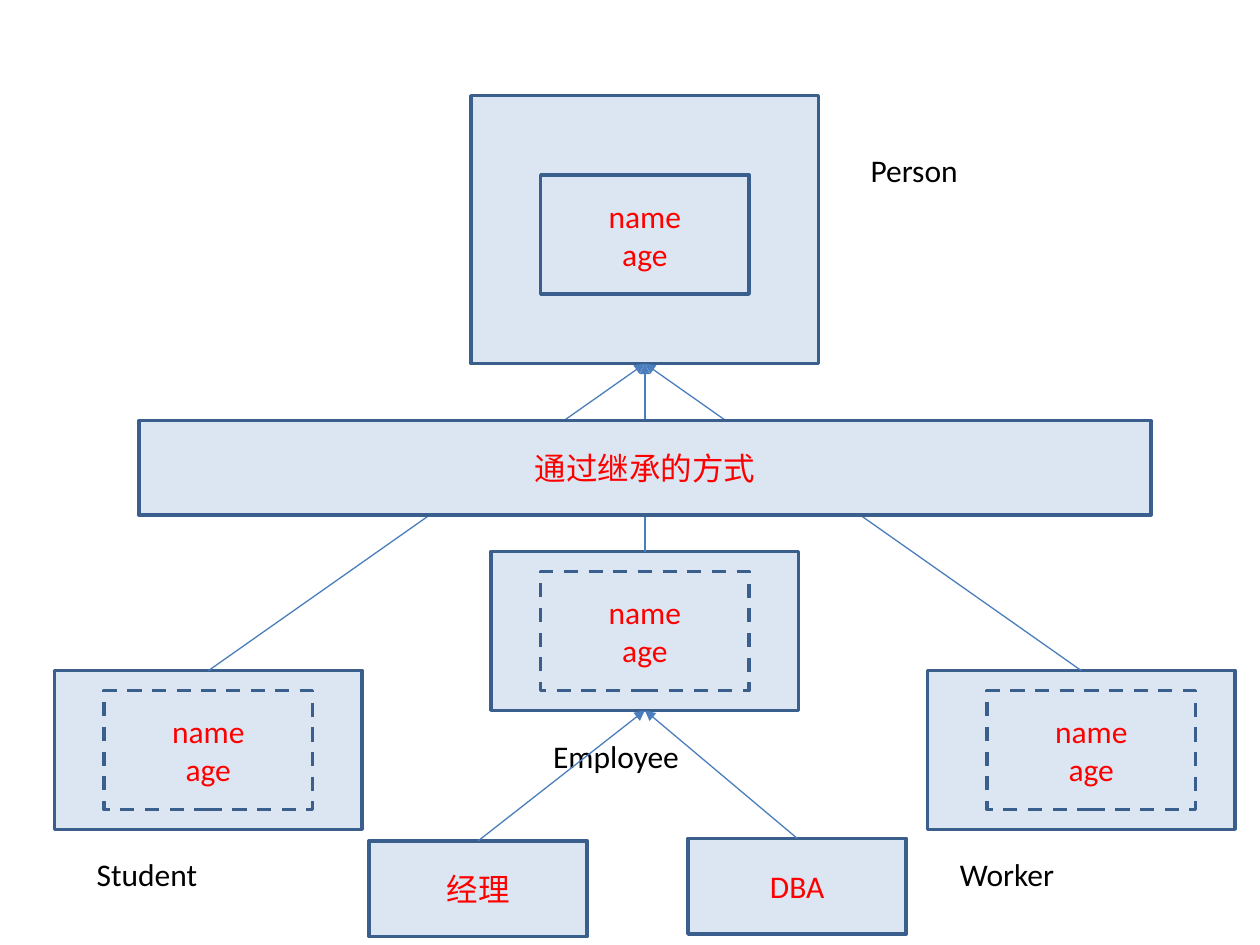
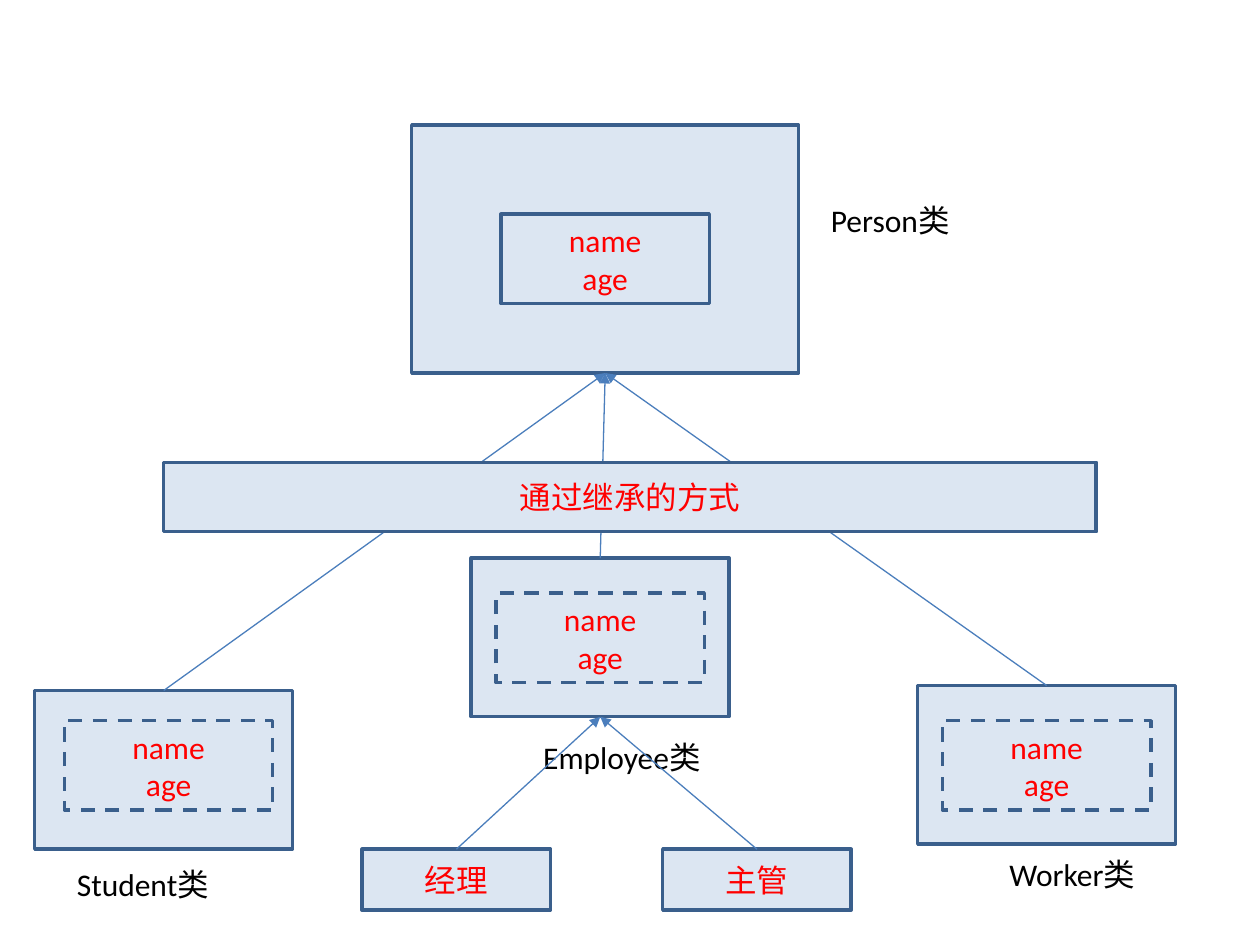
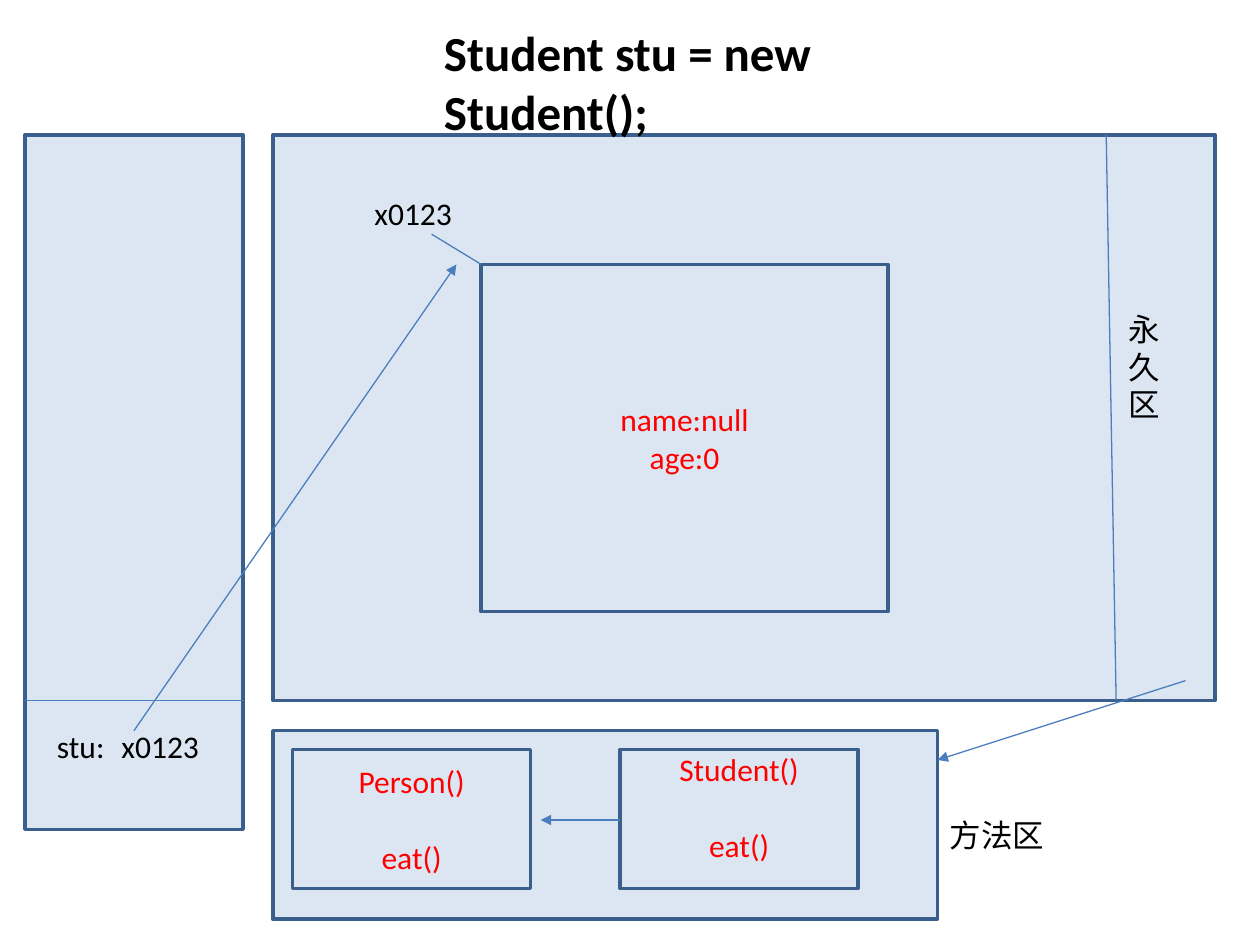
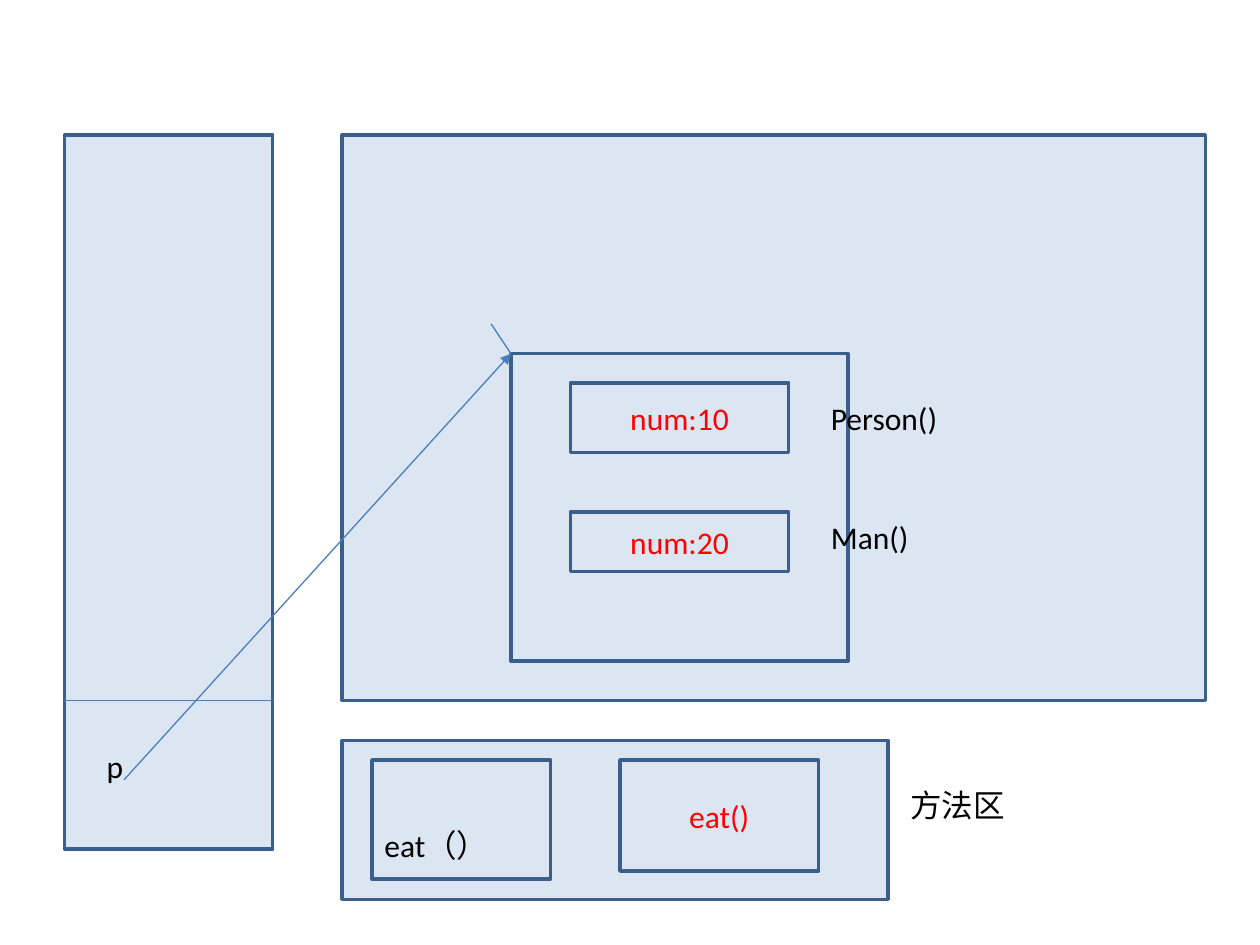
from lxml.etree import SubElement
from pptx import Presentation
from pptx.dml.color import RGBColor
from pptx.enum.dml import MSO_LINE
from pptx.enum.shapes import MSO_CONNECTOR, MSO_SHAPE
from pptx.enum.text import MSO_ANCHOR, MSO_AUTO_SIZE, PP_ALIGN
from pptx.oxml.ns import qn
from pptx.util import Mm, Pt

# All lengths are in columns and rows of a 1 mm grid.
SLIDE_SIZE = (254, 190.5)
FONT = "Calibri"
BODY_SIZE = 18
BLANK_LAYOUT = 6
FILL, EDGE, LINK, MEMBER, INK = "DCE6F2", "3A5F8C", "4B7EBC", "FF0000", "000000"
TOP_SITE, BOTTOM_SITE = 0, 2

FIELDS = "name\nage"

# Children and parent: label, label (left, top, width), frame corner, fields corner.
CLASS_DIAGRAMS = [
    {
        "parent": ("Person", (173, 29.3, 72), (95, 19.3), (109, 35.3)),
        "parent_size": (70, 54),
        "children": [
            ("Student", (17, 171.2, 52), (11, 135.2), (21, 139.2)),
            ("Employee", (109, 147.3, 60), (99, 111.2), (109, 115.2)),
            ("Worker", (191, 171.2, 76), (187, 135.2), (199, 139.2)),
        ],
        "child_size": (62, 32),
        "fields_size": (42, 24),
        "bar": (28, 84.8, 204, 19),
        "roles": [("经理", (74.4, 169.5)), ("DBA", (138.7, 169))],
        "role_size": (44, 19.3),
    },
    {
        "parent": ("Person类", (165, 39.3, 46), (83, 25.2), (101, 43.2)),
        "parent_size": (78, 50),
        "children": [
            ("Student类", (13, 173.2, 68), (7, 139.2), (13, 145.3)),
            ("Employee类", (107, 147.5, 45), (95, 112.5), (100, 119.6)),
            ("Worker类", (201, 171.2, 50), (185, 138.2), (190, 145.3)),
        ],
        "child_size": (52, 32),
        "fields_size": (42, 18),
        "bar": (33, 93.2, 188, 14),
        "roles": [("经理", (73, 171.2)), ("主管", (133.6, 171.2))],
        "role_size": (38, 12.3),
    },
]

AREA_TOP, HEAP_BOTTOM = 27.2, 141.2

# Stack and heap: left, width. Labels: text, left, top, width.
MEMORY_MAPS = [
    {
        "title": ("Student stu = new Student();", 87, 3.3, 120),
        "stack": (5, 44), "stack_height": 140, "heap": (55, 190),
        "method_area": (55, 147.3, 134, 38),
        "boxes": [("name:null\nage:0", (97, 53.3, 82, 70))],
        "methods": [
            ("Person()\neat()", (59, 151.1, 48, 28), MSO_ANCHOR.MIDDLE),
            ("Student()\neat()", (125, 151.1, 48, 28), MSO_ANCHOR.TOP),
        ],
        "labels": [
            ("方法区", 189, 163.3, 50), ("永\n久\n区", 225, 61.2, 20),
            ("stu:", 9, 145.3, 26), ("x0123", 73, 37.8, 32), ("x0123", 22, 145.3, 32),
        ],
        "lines": [((223, AREA_TOP), (225, HEAP_BOTTOM)), ((97, 53.3), (87, 47.2))],
        "arrows": [
            ((239, 137.2), (189, 153.2)),
            ((27, 147.3), (92, 53.3)),
            ((125, 165.3), (109, 165.3)),
        ],
    },
    {
        "title": None,
        "stack": (13, 42), "stack_height": 144, "heap": (69, 174),
        "method_area": (69, 149.3, 110, 32),
        "boxes": [
            ("", (103, 71.3, 68, 62)),
            ("num:10", (115, 77.2, 44, 14)),
            ("num:20", (115, 103.2, 44, 12)),
        ],
        "methods": [
            ("", (75, 153.2, 36, 24), MSO_ANCHOR.MIDDLE),
            ("eat()", (125, 153.2, 40, 22.4), MSO_ANCHOR.MIDDLE),
        ],
        "labels": [
            ("p", 19, 149.3, 28), ("Person()", 165, 79.2, 60), ("Man()", 165, 103.2, 34),
            ("方法区", 181, 157.2, 73), ("eat（）", 75, 165.3, 40),
        ],
        "lines": [((103, 71.3), (99, 65.3))],
        "arrows": [((25, 157.2), (103, 71.3))],
    },
]


def color(hex_value):
    return RGBColor.from_string(hex_value)


def write(frame, text, ink, size=BODY_SIZE, bold=False, align=PP_ALIGN.LEFT, gap=0):
    for index, line in enumerate(text.split("\n")):
        para = frame.paragraphs[0] if index == 0 else frame.add_paragraph()
        para.text = line
        para.alignment = align
        if index and gap:
            para.space_before = Pt(gap)
        para.font.name = FONT
        para.font.size = Pt(size)
        para.font.bold = bold
        para.font.color.rgb = color(ink)


def add_box(page, area, text="", dashed=False, anchor=MSO_ANCHOR.MIDDLE, gap=0):
    box = page.shapes.add_shape(MSO_SHAPE.RECTANGLE, *map(Mm, area))
    box.shadow.inherit = False
    box.fill.solid()
    box.fill.fore_color.rgb = color(FILL)
    box.line.color.rgb = color(EDGE)
    box.line.width = Pt(2)
    if dashed:
        box.line.dash_style = MSO_LINE.DASH
    if text:
        frame = box.text_frame
        frame.word_wrap = True
        frame.vertical_anchor = anchor
        if anchor == MSO_ANCHOR.TOP:
            frame.margin_top = 0
        write(frame, text, MEMBER, align=PP_ALIGN.CENTER, gap=gap)
    return box


def add_label(page, text, left, top, width, size=BODY_SIZE, bold=False):
    height = Pt(7.2 + 1.2 * size * len(text.split("\n")))
    frame = page.shapes.add_textbox(Mm(left), Mm(top), Mm(width), height).text_frame
    frame.word_wrap = True
    frame.auto_size = MSO_AUTO_SIZE.SHAPE_TO_FIT_TEXT
    write(frame, text, INK, size, bold)


def add_line(page, start=(0, 0), end=(0, 0), arrow=False):
    line = page.shapes.add_connector(MSO_CONNECTOR.STRAIGHT, *map(Mm, start + end))
    line.line.color.rgb = color(LINK)
    line.line.width = Pt(0.75)
    if arrow:
        SubElement(line.line._get_or_add_ln(), qn("a:tailEnd"), type="triangle")
    SubElement(line._element.spPr, qn("a:effectLst"))
    return line


def add_inheritance(page, child, parent):
    """Arrow from the top of the child box to the bottom of the parent box."""
    arrow = add_line(page, arrow=True)
    arrow.begin_connect(child, TOP_SITE)
    arrow.end_connect(parent, BOTTOM_SITE)


def add_class(page, entry, size, fields_size, inherited):
    name, label, corner, fields_corner = entry
    box = add_box(page, corner + size)
    add_box(page, fields_corner + fields_size, FIELDS, dashed=inherited)
    add_label(page, name, *label)
    return box


def draw_class_diagram(page, diagram):
    fields_size = diagram["fields_size"]
    parent = add_class(page, diagram["parent"], diagram["parent_size"], fields_size, False)
    children = [add_class(page, entry, diagram["child_size"], fields_size, True)
                for entry in diagram["children"]]
    for child in children:
        add_inheritance(page, child, parent)
    add_box(page, diagram["bar"], "通过继承的方式")
    employee = children[1]
    for role, corner in diagram["roles"]:
        role_box = add_box(page, corner + diagram["role_size"], role)
        add_inheritance(page, role_box, employee)


def draw_memory_map(page, memory):
    stack_left, stack_width = memory["stack"]
    heap_left, heap_width = memory["heap"]
    add_box(page, (stack_left, AREA_TOP, stack_width, memory["stack_height"]))
    add_box(page, (heap_left, AREA_TOP, heap_width, HEAP_BOTTOM - AREA_TOP))
    add_box(page, memory["method_area"])
    add_line(page, (stack_left, HEAP_BOTTOM), (stack_left + stack_width, HEAP_BOTTOM))
    for text, area in memory["boxes"]:
        add_box(page, area, text)
    for text, area, anchor in memory["methods"]:
        add_box(page, area, text, anchor=anchor, gap=22)
    for label in memory["labels"]:
        add_label(page, *label)
    for start, end in memory["lines"]:
        add_line(page, start, end)
    for start, end in memory["arrows"]:
        add_line(page, start, end, arrow=True)
    if memory["title"]:
        add_label(page, *memory["title"], size=28, bold=True)


def main():
    deck = Presentation()
    deck.slide_width, deck.slide_height = map(Mm, SLIDE_SIZE)
    for draw, contents in ((draw_class_diagram, CLASS_DIAGRAMS),
                           (draw_memory_map, MEMORY_MAPS)):
        for content in contents:
            draw(deck.slides.add_slide(deck.slide_layouts[BLANK_LAYOUT]), content)
    deck.save("out.pptx")


if __name__ == "__main__":
    main()
